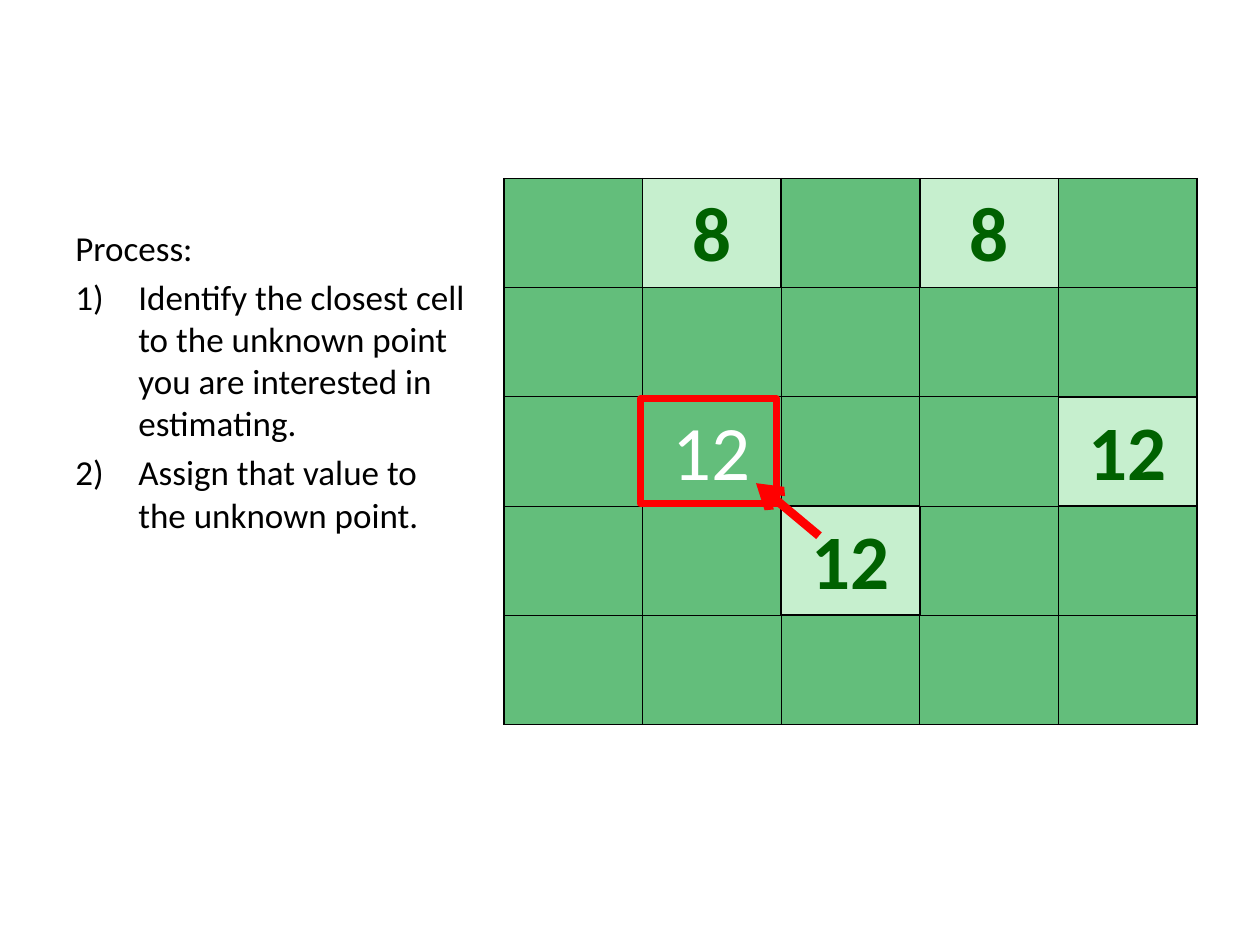
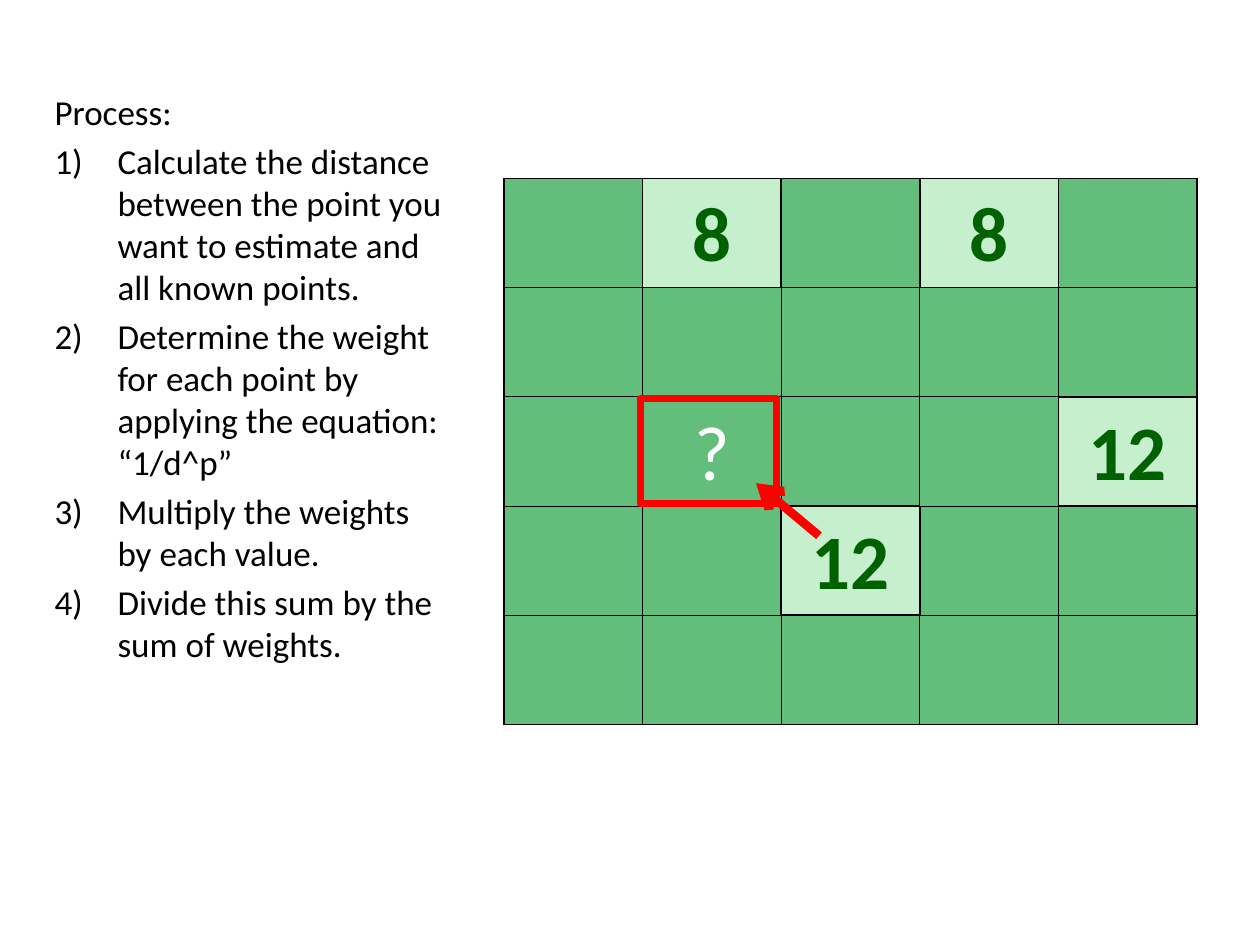
from dataclasses import dataclass

from lxml.etree import SubElement
from pptx import Presentation
from pptx.dml.color import RGBColor
from pptx.enum.shapes import MSO_CONNECTOR, MSO_SHAPE
from pptx.enum.text import MSO_ANCHOR, PP_ALIGN
from pptx.oxml.ns import qn
from pptx.util import Cm, Pt


@dataclass(frozen=True)
class Theme:
    font: str = "Calibri"
    body_size: Pt = Pt(20)
    value_size: Pt = Pt(44)
    text: RGBColor = RGBColor.from_string("000000")
    unknown_fill: RGBColor = RGBColor.from_string("63BE7B")
    unknown_text: RGBColor = RGBColor.from_string("FFFFFF")
    known_fill: RGBColor = RGBColor.from_string("C6EFCE")
    known_text: RGBColor = RGBColor.from_string("006100")
    accent: RGBColor = RGBColor.from_string("FF0000")
    border: str = "000000"
    thin: Pt = Pt(0.5)
    thick: Pt = Pt(1)


THEME = Theme()
GRID_SIZE = 5
KNOWN_VALUES = {(0, 1): "8", (0, 3): "8", (2, 4): "12", (3, 2): "12"}
TARGET = (2, 1)
SIDES = {"lnL": (0, -1), "lnR": (0, 1), "lnT": (-1, 0), "lnB": (1, 0)}

SLIDES = [
    {
        "box": (1.27, 4.45, 8.46, 12.57),
        "steps": [
            "Identify the closest cell to the unknown point you are interested in estimating.",
            "Assign that value to the unknown point.",
        ],
        "estimate": "12",
    },
    {
        "box": (0.85, 1.7, 8.46, 15.44),
        "steps": [
            "Calculate the distance between the point you want to estimate and all known points.",
            "Determine the weight for each point by applying the equation: “1/d^p”",
            "Multiply the weights by each value.",
            "Divide this sum by the sum of weights.",
        ],
        "estimate": "?",
    },
]


def style_font(p, size, color, bold=False):
    p.font.name = THEME.font
    p.font.size = size
    p.font.bold = bold
    p.font.color.rgb = color


def border_width(row, col, step):
    neighbour = (row + step[0], col + step[1])
    on_edge = not all(0 <= i < GRID_SIZE for i in neighbour)
    beside_known = (row, col) in KNOWN_VALUES or neighbour in KNOWN_VALUES
    return THEME.thick if on_edge or beside_known else THEME.thin


def add_borders(cell, row, col):
    tc_pr = cell._tc.get_or_add_tcPr()
    for side, step in SIDES.items():
        ln = SubElement(tc_pr, qn(f"a:{side}"), w=str(border_width(row, col, step)))
        fill = SubElement(ln, qn("a:solidFill"))
        SubElement(fill, qn("a:srgbClr"), val=THEME.border)


def fill_cell(cell, row, col, value):
    known = (row, col) in KNOWN_VALUES
    add_borders(cell, row, col)
    cell.fill.solid()
    cell.fill.fore_color.rgb = THEME.known_fill if known else THEME.unknown_fill
    if value:
        cell.vertical_anchor = MSO_ANCHOR.MIDDLE
        cell.margin_left = cell.margin_right = cell.margin_top = Cm(0.1)
        cell.margin_bottom = 0
        p = cell.text_frame.paragraphs[0]
        p.text = value
        p.alignment = PP_ALIGN.CENTER
        style_font(p, THEME.value_size,
                   THEME.known_text if known else THEME.unknown_text, known)


def add_grid(s, estimate):
    values = {**KNOWN_VALUES, TARGET: estimate}
    table = s.shapes.add_table(GRID_SIZE, GRID_SIZE, Cm(10.16), Cm(3.6),
                               Cm(13.97), Cm(11)).table
    table.first_row = table.horz_banding = False
    for row in range(GRID_SIZE):
        for col in range(GRID_SIZE):
            fill_cell(table.cell(row, col), row, col, values.get((row, col)))


def add_target_frame(s):
    sp = s.shapes.add_shape(MSO_SHAPE.RECTANGLE, Cm(12.91), Cm(8.04), Cm(2.75), Cm(2.12))
    sp.shadow.inherit = False
    sp.fill.background()
    sp.line.color.rgb = THEME.accent
    sp.line.width = Pt(4)


def add_arrow(s):
    arrow = s.shapes.add_connector(MSO_CONNECTOR.STRAIGHT,
                                   Cm(16.51), Cm(10.8), Cm(15.24), Cm(9.74))
    arrow.line.color.rgb = THEME.accent
    arrow.line.width = Pt(5)
    SubElement(arrow.line._get_or_add_ln(), qn("a:tailEnd"), type="arrow")
    SubElement(arrow._element.spPr, qn("a:effectLst"))


def number_paragraph(p):
    p_pr = p._p.get_or_add_pPr()
    p_pr.set("marL", str(Cm(1.27)))
    p_pr.set("indent", str(-Cm(1.27)))
    SubElement(p_pr, qn("a:buFont"), typeface="+mj-lt")
    SubElement(p_pr, qn("a:buAutoNum"), type="arabicParenR")


def add_process(s, box, steps):
    tf = s.shapes.add_textbox(*map(Cm, box)).text_frame
    tf.word_wrap = True
    for i, text in enumerate(["Process:", *steps]):
        p = tf.add_paragraph() if i else tf.paragraphs[0]
        p.text = text
        p.space_before = Pt(4)
        if i:
            number_paragraph(p)
        style_font(p, THEME.body_size, THEME.text)


def main():
    prs = Presentation()
    prs.slide_width, prs.slide_height = Cm(25.4), Cm(19.05)
    for content in SLIDES:
        s = prs.slides.add_slide(prs.slide_layouts[6])
        add_grid(s, content["estimate"])
        add_target_frame(s)
        add_arrow(s)
        add_process(s, content["box"], content["steps"])
    prs.save("out.pptx")


if __name__ == "__main__":
    main()
